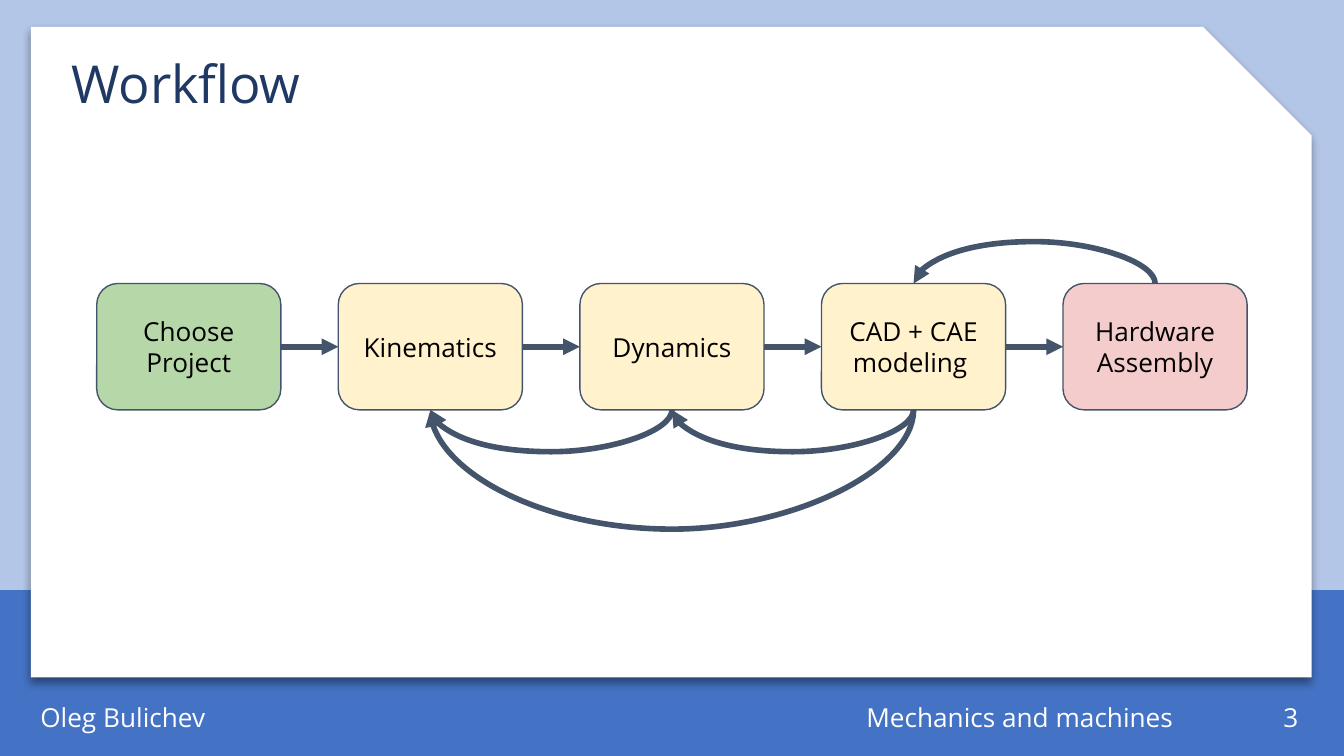
from lxml import etree
from pptx import Presentation
from pptx.dml.color import RGBColor
from pptx.enum.shapes import MSO_CONNECTOR, MSO_SHAPE
from pptx.enum.text import MSO_ANCHOR, MSO_AUTO_SIZE, PP_ALIGN
from pptx.oxml import parse_xml
from pptx.oxml.ns import nsdecls, qn
from pptx.util import Emu, Inches, Pt

FONT = "Open Sans"
SLATE = "44546A"
WHITE = "FFFFFF"
CREAM = "FFF2CC"
TOP, BOTTOM, LEFT, RIGHT = 0, 2, 1, 3  # connection sites of a box
STEPS = [
    ("Choose Project", "B6D7A8"),
    ("Kinematics", CREAM),
    ("Dynamics", CREAM),
    ("CAD + CAE\nmodeling ", CREAM),
    ("Hardware Assembly", "F4CCCC"),
]
# From step, to step, side, depth of the curve
LOOPS = [(2, 1, BOTTOM, 0.26), (3, 2, BOTTOM, 0.26),
         (3, 1, BOTTOM, 0.74), (4, 3, TOP, -0.26)]


def paint(target, color):
    """Give a solid colour to a fill."""
    target.solid()
    target.fore_color.rgb = RGBColor.from_string(color)


def apply(item, values):
    for name, value in values.items():
        setattr(item, name, value)


def write(shape, text, size, color, align, pads, anchor=MSO_ANCHOR.TOP, space=None):
    frame = shape.text_frame
    frame.text = text
    side, edge = (Inches(pad) for pad in pads)
    apply(frame, {
        "word_wrap": True, "auto_size": MSO_AUTO_SIZE.NONE,
        "vertical_anchor": anchor, "margin_left": side, "margin_right": side,
        "margin_top": edge, "margin_bottom": edge})
    for para in frame.paragraphs:
        apply(para, {"alignment": align, "line_spacing": space})
        for run in para.runs:
            apply(run.font, {"name": FONT, "size": Pt(size)})
            paint(run.font.fill, color)


def panel(slide, kind, box, fill, line=None):
    shape = slide.shapes.add_shape(kind, *map(Inches, box))
    shape.shadow.inherit = False
    paint(shape.fill, fill)
    if line:
        paint(shape.line.fill, line)
        shape.line.width = Pt(0.75)
    else:
        shape.line.fill.background()
    return shape


def label(slide, box, text, align):
    shape = slide.shapes.add_textbox(*map(Inches, box))
    write(shape, text, 14, WHITE, align, (0.07, 0.04))


def shade(shape):
    """Cast a soft shadow straight down."""
    effects = shape._element.spPr.find(qn("a:effectLst"))
    effects.append(parse_xml(
        f'<a:outerShdw {nsdecls("a")} blurRad="{Pt(4)}" dist="{Pt(3)}" '
        'dir="5400000" algn="bl" rotWithShape="0">'
        '<a:srgbClr val="000000"><a:alpha val="40000"/></a:srgbClr></a:outerShdw>'))


def arrow(slide, kind, start, end, sites):
    link = slide.shapes.add_connector(kind, 0, 0, 0, 0)
    link.begin_connect(start, sites[0])
    link.end_connect(end, sites[1])
    paint(link.line.fill, SLATE)
    link.line.width = Pt(3)
    props = link._element.spPr
    etree.SubElement(props.find(qn("a:ln")), qn("a:tailEnd"), type="triangle")
    etree.SubElement(props, qn("a:effectLst"))
    return link


def loop(slide, start, end, side, depth):
    """Curve back from one box to an earlier one."""
    link = arrow(slide, MSO_CONNECTOR.CURVE, start, end, (side, side))
    span = start.left - end.left
    mid = end.left + (end.width + span) // 2
    level = start.top + (start.height if side == BOTTOM else 0)
    thin = Emu(600)
    frame = link._element.spPr.find(qn("a:xfrm"))
    for flip in ("flipH", "flipV"):
        frame.attrib.pop(flip, None)
    frame.set("rot", "5400000")
    apply(link, {"left": mid - thin // 2, "top": level - span // 2,
                 "width": thin, "height": span})
    shape = link._element.spPr.find(qn("a:prstGeom"))
    guides = shape.find(qn("a:avLst"))
    if guides is None:
        guides = etree.SubElement(shape, qn("a:avLst"))
    bend = round(Inches(depth) / thin * 100000)
    etree.SubElement(guides, qn("a:gd"), name="adj1", fmla=f"val {bend}")


def main():
    deck = Presentation()
    # Wide 16:9 page
    deck.slide_width = Inches(10)
    deck.slide_height = deck.slide_width * 9 // 16
    slide = deck.slides.add_slide(deck.slide_layouts[5])

    # Backdrop and paper
    paint(slide.background.fill, "B3C6E7")
    band = panel(slide, MSO_SHAPE.RECTANGLE, (0, 4.39, 10, 1.23), "4472C4")
    band.height = deck.slide_height - band.top
    paper = panel(slide, MSO_SHAPE.SNIP_1_RECTANGLE, (0.23, 0.2, 9.53, 4.84), WHITE)
    paper.adjustments[0] = 0.167
    shade(paper)

    # Footer
    label(slide, (0.23, 5.18, 1.43, 0.3), "Oleg Bulichev", PP_ALIGN.LEFT)
    label(slide, (8.98, 5.18, 0.75, 0.3), "3", PP_ALIGN.RIGHT)
    label(slide, (4.86, 5.18, 3.94, 0.3), "Mechanics and machines", PP_ALIGN.RIGHT)

    # Title, in front of the paper
    title = slide.shapes.title
    apply(title, {"left": Inches(0.46), "top": Inches(0.39),
                  "width": Inches(8.62), "height": Inches(0.66)})
    write(title, "Workflow", 28, "1F3864", PP_ALIGN.LEFT, (0.07, 0.04), space=0.9)
    slide.shapes._spTree.append(title._element)

    # Steps
    pitch = (7.91 - 0.72) / (len(STEPS) - 1)
    boxes = []
    for i, (text, fill) in enumerate(STEPS):
        box = panel(slide, MSO_SHAPE.ROUNDED_RECTANGLE,
                    (0.72 + i * pitch, 2.11, 1.37, 0.94), fill, SLATE)
        box.adjustments[0] = 0.167
        write(box, text, 14, "000000", PP_ALIGN.CENTER, (0.1, 0.1), MSO_ANCHOR.MIDDLE)
        boxes.append(box)

    # Arrows forward, then loops back
    for start, end in zip(boxes, boxes[1:]):
        arrow(slide, MSO_CONNECTOR.STRAIGHT, start, end, (RIGHT, LEFT))
    for start, end, side, depth in LOOPS:
        loop(slide, boxes[start], boxes[end], side, depth)

    deck.save("out.pptx")


main()
